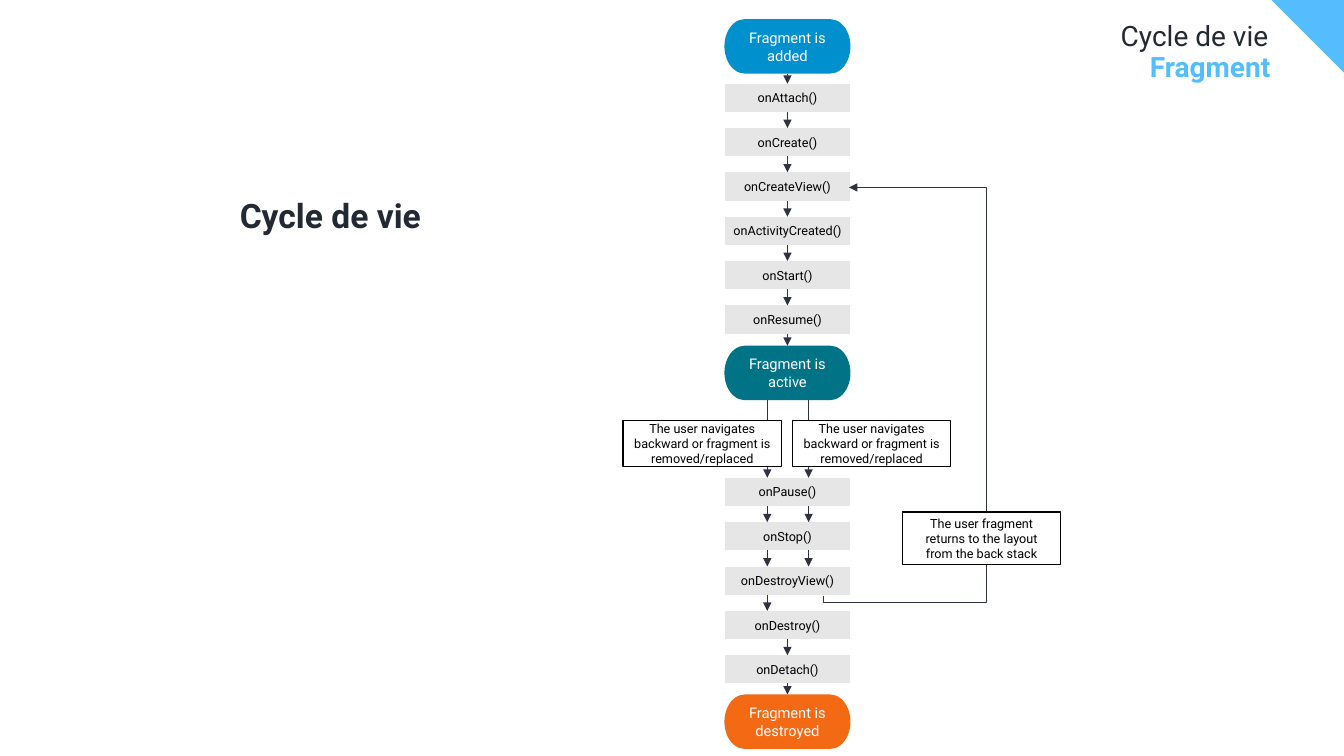
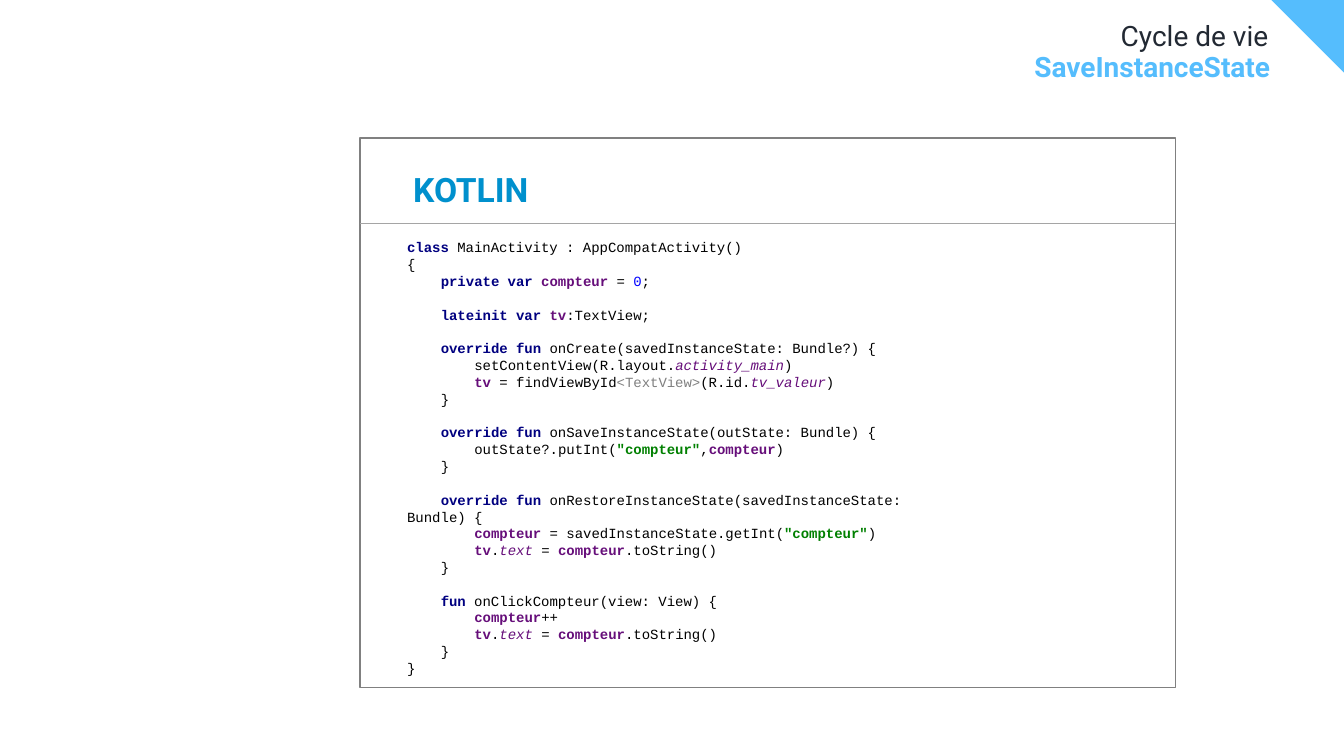
from lxml import etree
from pptx import Presentation, util as u
from pptx.dml.color import RGBColor
from pptx.enum import shapes, text
from pptx.oxml.ns import qn

Inches, Pt = u.Inches, u.Pt
colour = RGBColor.from_string
SHAPE, LINE = shapes.MSO_SHAPE, shapes.MSO_CONNECTOR
ALIGN, ANCHOR = text.PP_ALIGN, text.MSO_ANCHOR

# Shared palette and text formats
INK, SKY, BLUE, WHITE, BLACK = "222933", "55BDFD", "0090CD", "FFFFFF", "000000"
TEAL, ORANGE, GREY, ARROW = "007386", "F46914", "E7E6E6", "2F3240"
HEADER = {"size": Pt(20), "name": "Roboto"}
HEADING = {"size": Pt(24), "name": "Roboto", "bold": True}
STATE = {"size": Pt(10.5), "name": "Roboto"}
STEP = {"size": Pt(9), "name": "Roboto"}


def add_box(slide, kind, place, words="", font=STEP, ink=BLACK, fill=None, outline=None,
            align=ALIGN.CENTER, anchor=ANCHOR.MIDDLE, side=0.1, edge=0.05, spacing=None):
    """Add a preset shape, or a text box when kind is None."""
    place = [Inches(n) for n in place]
    if kind is None:
        box = slide.shapes.add_textbox(*place)
    else:
        box = slide.shapes.add_shape(kind, *place)
        box.shadow.inherit = False
        box.line.fill.background()
    if fill:
        box.fill.solid()
        box.fill.fore_color.rgb = colour(fill)
    if outline:
        box.line.color.rgb = colour(outline)
        box.line.width = Pt(1)
    frame = box.text_frame
    layout = {"word_wrap": True, "vertical_anchor": anchor,
              "margin_left": Inches(side), "margin_right": Inches(side),
              "margin_top": Inches(edge), "margin_bottom": Inches(edge)}
    for key, value in layout.items():
        setattr(frame, key, value)
    if words:
        paragraph = frame.paragraphs[0]
        paragraph.alignment, paragraph.line_spacing = align, spacing
        run = paragraph.add_run()
        run.text = words
        run.font.color.rgb = colour(ink)
        for key, value in font.items():
            setattr(run.font, key, value)
    return box


def add_line(slide, start, end, kind=LINE.STRAIGHT, ink=ARROW, width=0.5, arrow=True):
    line = slide.shapes.add_connector(kind, *[Inches(n) for n in (*start, *end)])
    line.line.color.rgb = colour(ink)
    line.line.width = Pt(width)
    if arrow:
        etree.SubElement(line.line._get_or_add_ln(), qn("a:tailEnd"), type="triangle")
    etree.SubElement(line._element.spPr, qn("a:effectLst"))
    return line


deck = Presentation()
deck.slide_width, deck.slide_height = Inches(13.33), Inches(7.5)

# Header and corner on both slides
slides = []
for topic in ("Fragment", "SaveInstanceState"):
    slide = deck.slides.add_slide(deck.slide_layouts[6])
    outline = slide.shapes.build_freeform(Inches(12.61), 0)
    outline.add_line_segments([(Inches(13.33), 0), (Inches(13.33), Inches(0.72))])
    corner = outline.convert_to_shape()
    corner.shadow.inherit = False
    corner.fill.solid()
    corner.fill.fore_color.rgb = colour(SKY)
    corner.line.fill.background()
    header = {"align": ALIGN.RIGHT, "anchor": ANCHOR.TOP, "side": 0, "edge": 0, "spacing": 0.9}
    add_box(slide, None, (0.37, 0.22, 12.21, 0.31), "Cycle de vie", HEADER, INK, **header)
    add_box(slide, None, (0.37, 0.53, 12.23, 0.43), topic, HEADER | {"bold": True}, SKY, **header)
    slides.append(slide)
lifecycle, saving = slides

# Slide 1: heading
add_box(lifecycle, None, (2.28, 1.93, 4, 0.5), "Cycle de vie", HEADING, INK,
        align=ALIGN.LEFT, anchor=ANCHOR.TOP, spacing=0.9)

# Slide 1: states and callbacks down one axis
AXIS, PITCH, STEP_W, STEP_H, STATE_W, STATE_H = 7.81, 0.44, 1.24, 0.28, 1.25, 0.54
nodes = {}
for name, top, fill in (("added", 0.19, BLUE), ("active", 3.43, TEAL), ("destroyed", 6.89, ORANGE)):
    nodes[name] = add_box(lifecycle, SHAPE.FLOWCHART_TERMINATOR,
                          (AXIS - STATE_W / 2, top, STATE_W, STATE_H),
                          "Fragment is " + name, STATE, WHITE, fill)
starting = ["onAttach()", "onCreate()", "onCreateView()", "onActivityCreated()", "onStart()",
            "onResume()"]
ending = ["onPause()", "onStop()", "onDestroyView()", "onDestroy()", "onDetach()"]
for first_top, callbacks in ((0.83, starting), (4.74, ending)):
    for row, name in enumerate(callbacks):
        nodes[name] = add_box(lifecycle, SHAPE.FLOWCHART_PROCESS,
                              (AXIS - STEP_W / 2, first_top + row * PITCH, STEP_W, STEP_H),
                              name, fill=GREY, side=0)

# Slide 1: single arrows between neighbours
for chain in (["added", *starting, "active"], ["onDestroy()", "onDetach()", "destroyed"]):
    for upper, lower in zip(chain, chain[1:]):
        arrow = add_line(lifecycle, (AXIS, 0), (AXIS, 1))
        arrow.begin_connect(nodes[upper], 2)
        arrow.end_connect(nodes[lower], 0)

# Slide 1: twin arrows, of which only the left one reaches onDestroy()
chain = ["active", *ending[:4]]
for x, last in ((7.61, 4), (8.02, 3)):
    for upper, lower in zip(chain[:last], chain[1:]):
        start = (nodes[upper].top + nodes[upper].height) / Inches(1)
        add_line(lifecycle, (x, start), (x, nodes[lower].top / Inches(1)))

# Slide 1: way back from onDestroyView() to onCreateView(), turned by 90 degrees
way_back = add_line(lifecycle, (10.32, 4.01), (6.27, 3.76), LINE.ELBOW, width=1)
way_back._element.spPr.find(qn("a:xfrm")).set("rot", "5400000")
bend = way_back._element.spPr.find(qn("a:prstGeom"))
bend.set("prst", "bentConnector4")
guides = bend.get_or_add_avLst()
for name, value in (("adj1", -1700), ("adj2", 646400)):
    etree.SubElement(guides, qn("a:gd"), name=name, fmla=f"val {value}")

# Slide 1: conditions on the arrows
leaving = "The user navigates backward or fragment is removed/replaced"
returning = "The user fragment returns to the layout from the back stack"
for left, top, height, words in ((6.18, 4.17, 0.46, leaving), (7.86, 4.17, 0.46, leaving),
                                 (8.95, 5.08, 0.52, returning)):
    add_box(lifecycle, SHAPE.FLOWCHART_PROCESS, (left, top, 1.57, height), words,
            fill=WHITE, outline=BLACK)

# Slide 2: code panel
add_box(saving, SHAPE.RECTANGLE, (3.57, 1.37, 8.09, 5.45), fill=WHITE, outline="808080")
add_line(saving, (3.57, 2.22), (11.65, 2.22), ink="A5A5A5", arrow=False)
add_box(saving, None, (4, 1.43, 1.48, 0.69), "KOTLIN", HEADING, BLUE,
        align=ALIGN.LEFT, anchor=ANCHOR.BOTTOM)
listing = add_box(saving, SHAPE.RECTANGLE, (3.94, 2.3, 5.47, 4.48), fill=WHITE)

# Slide 2: code styles as colour, bold, italic
PLAIN, KEY, FIELD = (BLACK, False, False), ("000080", True, False), ("660E7A", True, False)
MEMBER, STRING = ("660E7A", False, True), ("008000", True, False)
NUMBER, TYPE = ("0000FF", False, False), ("808080", False, False)
show_count = [(FIELD, "tv"), (PLAIN, "."), (MEMBER, "text "), (PLAIN, "= "),
              (FIELD, "compteur"), (PLAIN, ".toString()")]
close = (1, False, [(PLAIN, "}")])

# Slide 2: code lines as indent level, gap above, runs
code = [
    (0, False, [(KEY, "class "), (PLAIN, "MainActivity : AppCompatActivity()")]),
    (0, False, [(PLAIN, "{")]),
    (1, False, [(KEY, "private var "), (FIELD, "compteur "), (PLAIN, "= "), (NUMBER, "0"),
                (PLAIN, ";")]),
    (1, True, [(KEY, "lateinit var "), (FIELD, "tv"), (PLAIN, ":TextView;")]),
    (1, True, [(KEY, "override fun "), (PLAIN, "onCreate(savedInstanceState: Bundle?) {")]),
    (2, False, [(PLAIN, "setContentView(R.layout."), (MEMBER, "activity_main"), (PLAIN, ")")]),
    (2, False, [(FIELD, "tv "), (PLAIN, "= findViewById"), (TYPE, "<TextView>"),
                (PLAIN, "(R.id."), (MEMBER, "tv_valeur"), (PLAIN, ")")]),
    close,
    (1, True, [(KEY, "override fun "), (PLAIN, "onSaveInstanceState(outState: Bundle) {")]),
    (2, False, [(PLAIN, "outState?.putInt("), (STRING, '"compteur"'), (PLAIN, ","),
                (FIELD, "compteur"), (PLAIN, ")")]),
    close,
    (1, True, [(KEY, "override fun "),
               (PLAIN, "onRestoreInstanceState(savedInstanceState: Bundle) {")]),
    (2, False, [(FIELD, "compteur "), (PLAIN, "= savedInstanceState.getInt("),
                (STRING, '"compteur"'), (PLAIN, ")")]),
    (2, False, show_count),
    close,
    (1, True, [(KEY, "fun "), (PLAIN, "onClickCompteur(view: View) {")]),
    (2, False, [(FIELD, "compteur"), (PLAIN, "++")]),
    (2, False, show_count),
    close,
    (0, False, [(PLAIN, "}")]),
]
for number, (level, gap, runs) in enumerate(code):
    frame = listing.text_frame
    code_line = frame.add_paragraph() if number else frame.paragraphs[0]
    code_line.alignment = ALIGN.LEFT
    code_line.space_before = Pt(12 if gap else 0)
    # First-line indent of four characters a level; wrapped text returns to the margin
    indent = code_line._p.get_or_add_pPr()
    indent.set("marL", "0")
    indent.set("indent", str(Pt(24 * level)))
    for (ink, bold, italic), words in runs:
        run = code_line.add_run()
        run.text = words
        run.font.color.rgb = colour(ink)
        style = {"size": Pt(10), "name": "Courier New", "bold": bold, "italic": italic}
        for key, value in style.items():
            setattr(run.font, key, value)

deck.save("out.pptx")
